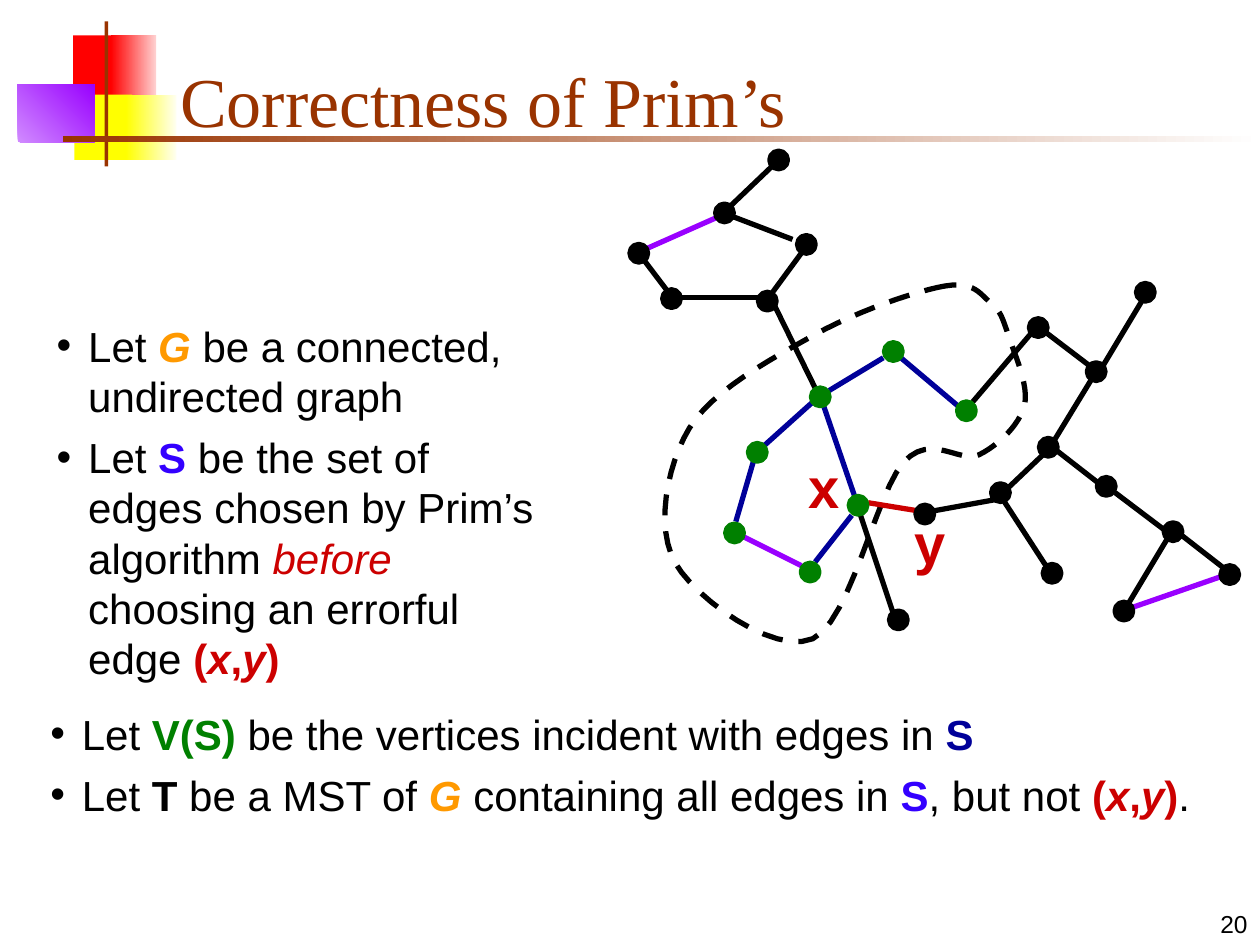
from lxml import etree
from pptx import Presentation
from pptx.dml.color import RGBColor
from pptx.enum.dml import MSO_LINE
from pptx.enum.shapes import MSO_CONNECTOR, MSO_SHAPE
from pptx.enum.text import MSO_ANCHOR, MSO_AUTO_SIZE, PP_ALIGN
from pptx.oxml.ns import qn
from pptx.util import Inches, Pt

RECTANGLE, OVAL = MSO_SHAPE.RECTANGLE, MSO_SHAPE.OVAL
STRAIGHT, DASH = MSO_CONNECTOR.STRAIGHT, MSO_LINE.DASH
LEFT, RIGHT = PP_ALIGN.LEFT, PP_ALIGN.RIGHT
BOTTOM, TOP = MSO_ANCHOR.BOTTOM, MSO_ANCHOR.TOP
FIXED = MSO_AUTO_SIZE.NONE

THEME = {
    "heading": "Times New Roman", "text": "Arial",
    "title_size": 40, "body_size": 24, "label_size": 32, "number_size": 14,
    "leading": 28.8, "gap": 6, "stroke": 3, "vertex": 0.14,
    "black": "000000", "brown": "993300", "red": "CC0000", "green": "008000",
    "navy": "000099", "blue": "3300FF", "orange": "FF9900", "purple": "9900FF",
}

TITLE = "Correctness of Prim’s"
PAGE_NUMBER = "20"

XY_EDGE = [("(", "red", "b"), ("x", "red", "bi"), (",", "red", "b"),
           ("y", "red", "bi"), (")", "red", "b")]
SETUP = [
    [("Let ", "black", ""), ("G", "orange", "bi"),
     (" be a connected, undirected graph", "black", "")],
    [("Let ", "black", ""), ("S", "blue", "b"),
     (" be the set of edges chosen by Prim’s algorithm ", "black", ""),
     ("before", "red", "i"), (" choosing an errorful edge ", "black", ""), *XY_EDGE],
]
DEFINITIONS = [
    [("Let ", "black", ""), ("V(S)", "green", "b"),
     (" be the vertices incident with edges in ", "black", ""), ("S", "navy", "b")],
    [("Let ", "black", ""), ("T", "black", "b"), (" be a MST of ", "black", ""),
     ("G ", "orange", "bi"), ("containing all edges in ", "black", ""),
     ("S", "blue", "b"), (", but not ", "black", ""), *XY_EDGE, (".", "black", "")],
]

ORNAMENT = [
    ((0.58, 0.28, 0.35, 0.52), ["FF0000"], 0),
    ((0.88, 0.28, 0.36, 0.52), ["FF0000", "FFD1D1"], 0),
    ((0.59, 0.75, 0.46, 0.52), ["FFFF00"], 0),
    ((1, 0.75, 0.4, 0.52), ["FFFF00", "FFFFF0"], 0),
    ((0.14, 0.67, 0.61, 0.46), ["D18BFF", "9900FF"], 45),
    ((0.83, 0.17, 0.03, 1.15), [THEME["brown"]], 0),
    ((0.5, 1.08, 9.5, 0.05), [THEME["brown"], "FFFFFF"], 0),
]

CUT_START = (7.5, 2.27)
CUT_CURVES = [
    ((7.27, 2.31), (6.8, 2.47), (6.46, 2.66)),
    ((6.12, 2.85), (5.65, 3.1), (5.47, 3.4)),
    ((5.29, 3.7), (5.2, 4.19), (5.36, 4.47)),
    ((5.52, 4.75), (6.14, 5.2), (6.45, 5.07)),
    ((6.75, 4.93), (6.95, 3.92), (7.17, 3.67)),
    ((7.39, 3.43), (7.61, 3.68), (7.77, 3.61)),
    ((7.93, 3.53), (8.09, 3.37), (8.13, 3.22)),
    ((8.17, 3.06), (8.05, 2.81), (8.01, 2.68)),
    ((7.96, 2.54), (7.95, 2.48), (7.87, 2.41)),
    ((7.78, 2.34), (7.74, 2.23), (7.5, 2.27)),
]
EDGES = {
    "black": [
        (7.97, 3.98, 8.34, 4.55), (7.94, 3.93, 8.34, 3.55), (8.85, 3.91, 9.3, 4.25),
        (9.38, 4.25, 9.83, 4.6), (9.28, 4.25, 8.92, 4.85), (8.34, 3.54, 8.79, 3.89),
        (8.7, 2.95, 8.34, 3.54), (8.25, 2.6, 8.71, 2.95), (9.08, 2.36, 8.72, 2.96),
        (7.93, 3.96, 7.27, 4.08), (6.83, 4.09, 7.11, 4.93), (6.13, 2.39, 6.47, 3.08),
        (6.02, 2.36, 5.36, 2.36), (5.32, 2.34, 5.07, 2.01), (6.44, 1.9, 6.08, 2.39),
        (6.29, 1.9, 5.74, 1.69), (6.18, 1.27, 5.74, 1.69), (7.72, 3.19, 8.18, 2.65),
    ],
    "navy": [
        (6.76, 4.09, 6.47, 4.46), (6.54, 3.23, 6.78, 3.93), (6.44, 3.2, 6.05, 3.55),
        (7.01, 2.84, 6.58, 3.1), (7.15, 2.84, 7.66, 3.27), (5.98, 3.66, 5.84, 4.14),
    ],
    "red": [(7.26, 4.05, 6.89, 3.99)],
    "purple": [(5.14, 1.97, 5.68, 1.73), (8.99, 4.82, 9.68, 4.58), (5.9, 4.26, 6.36, 4.49)],
}
VERTICES = {
    "black": [
        (7.87, 3.84), (5, 1.94), (5.26, 2.3), (7.27, 4.01), (8.25, 3.48), (8.71, 3.79),
        (9.69, 4.49), (9.24, 4.15), (8.85, 4.78), (8.63, 2.88), (8.28, 4.48), (8.17, 2.53),
        (9.02, 2.25), (7.06, 4.85), (6.02, 2.32), (6.11, 1.2), (5.68, 1.62), (6.33, 1.87),
    ],
    "green": [(6.44, 3.08), (6.36, 4.47), (6.74, 3.94), (7.02, 2.72),
              (7.6, 3.19), (5.76, 4.16), (5.94, 3.52)],
}
VERTEX_LABELS = [("x", 6.32, 3.54), ("y", 7.16, 3.99)]


def place(shape, box):
    shape.left, shape.top, shape.width, shape.height = map(Inches, box)


def add_run(paragraph, text, size, color, style="", font="text"):
    run = paragraph.add_run()
    run.text = text
    run.font.name = THEME[font]
    run.font.size = Pt(THEME[size])
    run.font.color.rgb = RGBColor.from_string(THEME[color])
    run.font.bold = "b" in style
    run.font.italic = "i" in style


def add_label(slide, text, box, size, color, style="", align=LEFT, anchor=TOP):
    label = slide.shapes.add_textbox(*map(Inches, box))
    label.text_frame.word_wrap = True
    label.text_frame.vertical_anchor = anchor
    paragraph = label.text_frame.paragraphs[0]
    paragraph.alignment = align
    add_run(paragraph, text, size, color, style)


def fill_list(placeholder, box, items):
    place(placeholder, box)
    frame = placeholder.text_frame
    frame.auto_size = FIXED
    frame.vertical_anchor = TOP
    for index, runs in enumerate(items):
        paragraph = frame.add_paragraph() if index else frame.paragraphs[0]
        properties = paragraph._p.get_or_add_pPr()
        properties.set("marL", str(Inches(0.25)))
        properties.set("indent", str(-Inches(0.25)))
        bullet_color = etree.SubElement(properties, qn("a:buClr"))
        etree.SubElement(bullet_color, qn("a:srgbClr"), val=THEME["black"])
        etree.SubElement(properties, qn("a:buChar"), char="•")
        paragraph.line_spacing = Pt(THEME["leading"])
        paragraph.space_before = Pt(THEME["gap"] if index else 0)
        for text, color, style in runs:
            add_run(paragraph, text, "body_size", color, style)


def set_line(line, color):
    line.color.rgb = RGBColor.from_string(THEME[color])
    line.width = Pt(THEME["stroke"])


def add_ornament(slide):
    for box, colors, angle in ORNAMENT:
        block = slide.shapes.add_shape(RECTANGLE, *map(Inches, box))
        block.shadow.inherit = False
        block.line.fill.background()
        if len(colors) == 1:
            block.fill.solid()
            block.fill.fore_color.rgb = RGBColor.from_string(colors[0])
        else:
            block.fill.gradient()
            block.fill.gradient_angle = angle
            for stop, color in zip(block.fill.gradient_stops, colors):
                stop.color.rgb = RGBColor.from_string(color)


def curve_points(start, curves, steps=12):
    for a, b, end in curves:
        for step in range(1, steps + 1):
            t = step / steps
            u = 1 - t
            yield tuple(Inches(u**3 * p + 3 * u * u * t * q + 3 * u * t * t * r + t**3 * s)
                        for p, q, r, s in zip(start, a, b, end))
        start = end


def add_graph(slide):
    builder = slide.shapes.build_freeform(*map(Inches, CUT_START))
    builder.add_line_segments(list(curve_points(CUT_START, CUT_CURVES)), close=True)
    cut = builder.convert_to_shape()
    cut.shadow.inherit = False
    cut.fill.background()
    set_line(cut.line, "black")
    cut.line.dash_style = DASH
    for color, edges in EDGES.items():
        for ends in edges:
            edge = slide.shapes.add_connector(STRAIGHT, *map(Inches, ends))
            set_line(edge.line, color)
            etree.SubElement(edge._element.spPr, qn("a:effectLst"))
    for color, corners in VERTICES.items():
        for x, y in corners:
            box = (x, y, THEME["vertex"], THEME["vertex"])
            vertex = slide.shapes.add_shape(OVAL, *map(Inches, box))
            vertex.shadow.inherit = False
            vertex.fill.solid()
            vertex.fill.fore_color.rgb = RGBColor.from_string(THEME[color])
            set_line(vertex.line, color)
    for text, x, y in VERTEX_LABELS:
        add_label(slide, text, (x, y, 0.48, 0.64), "label_size", "red", "b")


def main():
    deck = Presentation()
    deck.slide_width, deck.slide_height = Inches(10), Inches(7.5)
    slide = deck.slides.add_slide(deck.slide_layouts[3])
    title, setup, definitions = slide.placeholders
    add_ornament(slide)
    place(title, (1.33, 0.25, 8.52, 0.92))
    title.text_frame.auto_size = FIXED
    title.text_frame.vertical_anchor = BOTTOM
    heading = title.text_frame.paragraphs[0]
    heading.alignment = LEFT
    add_run(heading, TITLE, "title_size", "brown", font="heading")
    fill_list(setup, (0.35, 2.49, 4.07, 2.99), SETUP)
    fill_list(definitions, (0.3, 5.57, 9.4, 1.42), DEFINITIONS)
    add_graph(slide)
    add_label(slide, PAGE_NUMBER, (7.92, 7, 2.08, 0.5), "number_size", "black",
              align=RIGHT, anchor=BOTTOM)
    deck.save("out.pptx")


if __name__ == "__main__":
    main()
